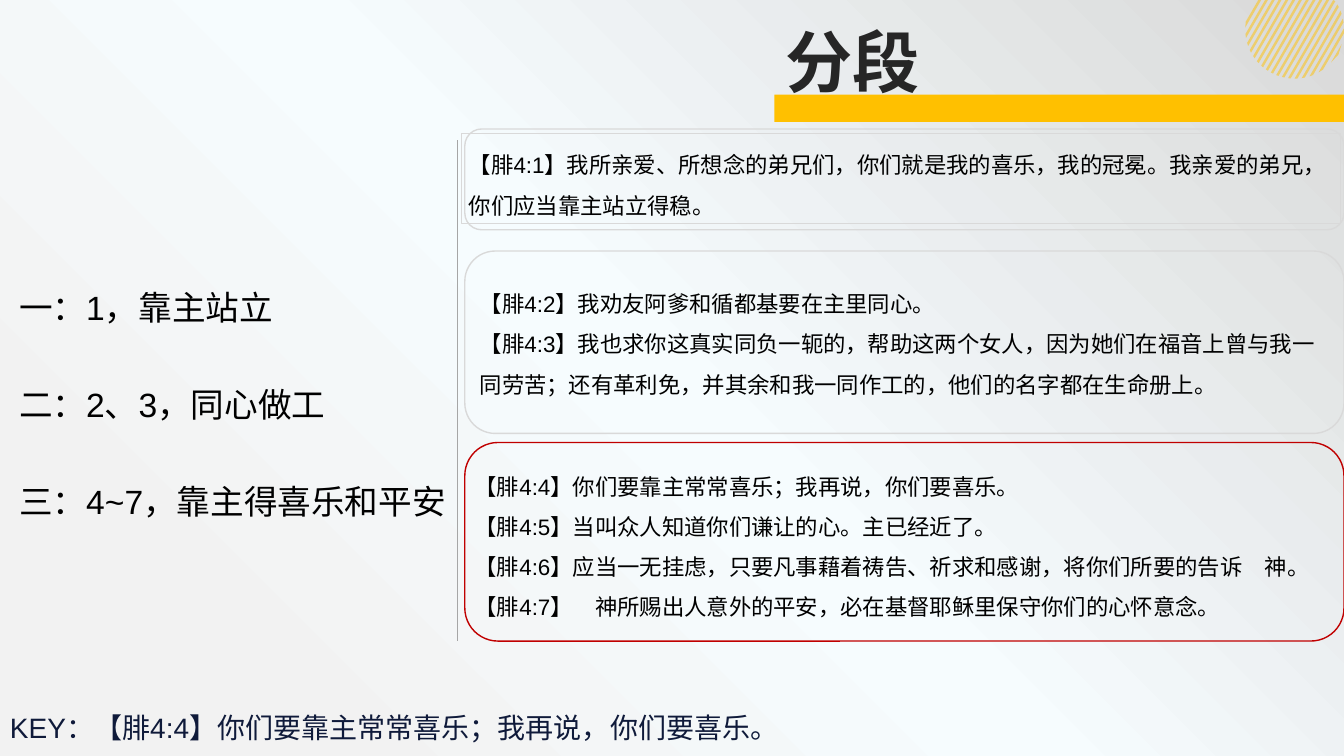
from math import sqrt

from lxml import etree
from pptx import Presentation
from pptx.dml.color import RGBColor
from pptx.enum.shapes import MSO_CONNECTOR, MSO_SHAPE
from pptx.enum.text import MSO_ANCHOR, MSO_AUTO_SIZE, PP_ALIGN
from pptx.oxml import parse_xml
from pptx.oxml.ns import nsdecls, qn
from pptx.util import Inches, Pt

W, H = 13.33, 7.5
FONT = "Arial"
BLACK = RGBColor(0x00, 0x00, 0x00)
CHARCOAL = RGBColor(0x26, 0x26, 0x26)
NAVY = RGBColor(0x0F, 0x1A, 0x3A)
AMBER = RGBColor(0xFF, 0xC0, 0x00)
PALE = RGBColor(0xD9, 0xD9, 0xD9)
GREY = RGBColor(0xA6, 0xA6, 0xA6)
RED = RGBColor(0xC0, 0x00, 0x00)

# Verse column: frames run from its left edge to the slide's right edge
COL_X = 4.61
COL_W = W - COL_X
COL_BOTTOM = 6.36

SECTIONS = ["一：1，靠主站立", "二：2、3，同心做工", "三：4~7，靠主得喜乐和平安"]
VERSE_1 = ["【腓4:1】我所亲爱、所想念的弟兄们，你们就是我的喜乐，我的冠冕。我亲爱的弟兄，你们应当靠主站立得稳。"]
VERSES_2_3 = [
    "【腓4:2】我劝友阿爹和循都基要在主里同心。",
    "【腓4:3】我也求你这真实同负一轭的，帮助这两个女人，因为她们在福音上曾与我一同劳苦；"
    "还有革利免，并其余和我一同作工的，他们的名字都在生命册上。",
]
VERSES_4_7 = [
    "【腓4:4】你们要靠主常常喜乐；我再说，你们要喜乐。",
    "【腓4:5】当叫众人知道你们谦让的心。主已经近了。",
    "【腓4:6】应当一无挂虑，只要凡事藉着祷告、祈求和感谢，将你们所要的告诉　神。",
    "【腓4:7】　神所赐出人意外的平安，必在基督耶稣里保守你们的心怀意念。",
]


def box(*lengths):
    return [Inches(v) for v in lengths]


def set_background(s):
    """Radial gradient spreading from the lower left corner."""
    s.background.fill.solid()
    bg_pr = s.background._cSld.find(qn("p:bg")).find(qn("p:bgPr"))
    solid = bg_pr.find(qn("a:solidFill"))
    bg_pr.replace(solid, parse_xml(
        f'<a:gradFill {nsdecls("a")} rotWithShape="1"><a:gsLst>'
        '<a:gs pos="15000"><a:srgbClr val="F2F2F2"/></a:gs>'
        '<a:gs pos="50000"><a:srgbClr val="F6FCFE"><a:alpha val="27000"/></a:srgbClr></a:gs>'
        '<a:gs pos="100000"><a:srgbClr val="D9D9D9"/></a:gs></a:gsLst>'
        '<a:path path="circle"><a:fillToRect t="100000" r="100000"/></a:path>'
        '</a:gradFill>'))


def write(tf, lines, size, color, spacing=None, gap=0, bold=False):
    tf.word_wrap = True
    for i, line in enumerate(lines):
        p = tf.add_paragraph() if i else tf.paragraphs[0]
        p.alignment = PP_ALIGN.LEFT
        if spacing:
            p.line_spacing = spacing
        if i and gap:
            p.space_before = Pt(gap)
        r = p.add_run()
        r.text = line
        r.font.name, r.font.size, r.font.bold = FONT, Pt(size), bold
        r.font.color.rgb = color


def set_insets(tf, inset):
    tf.margin_left = tf.margin_right = tf.margin_top = tf.margin_bottom = Inches(inset)
    tf.vertical_anchor = MSO_ANCHOR.MIDDLE


def add_text(s, at, lines, size, color, **style):
    tf = s.shapes.add_textbox(*box(*at)).text_frame
    write(tf, lines, size, color, **style)
    return tf


def add_frame(s, kind, at, color, width):
    sp = s.shapes.add_shape(kind, *box(*at))
    sp.shadow.inherit = False
    sp.fill.background()
    sp.line.color.rgb, sp.line.width = color, Pt(width)
    return sp


def add_verses(s, at, lines):
    tf = add_text(s, at, lines, 16, BLACK, spacing=1.5)
    set_insets(tf, 0.1)


def fill_amber(sp):
    sp.shadow.inherit = False
    sp.fill.solid()
    sp.fill.fore_color.rgb = AMBER
    sp.line.fill.background()


def add_striped_disc(s, cx=12.84, cy=0.29, radius=0.49, count=17):
    """Slanted stripes clipped to a disc and to the top of the slide."""
    first, pitch, width = 12.48, 0.0675, 0.028

    def chord(x0):
        """Ends of the 60 degree line through (x0, 0) inside the disc."""
        d = sqrt(3) / 2 * (x0 - cx) - cy / 2
        reach = sqrt(3) / 2 * sqrt(max(0, radius ** 2 - d ** 2))
        ys = max(0, cy + d / 2 - reach), cy + d / 2 + reach
        return [(Inches(x0 - y / sqrt(3)), Inches(y)) for y in ys]

    disc = s.shapes.add_group_shape()
    for i in range(count):
        x0 = first + i * pitch
        start, *rest = chord(x0) + chord(x0 + width)[::-1]
        builder = disc.shapes.build_freeform(*start)
        builder.add_line_segments(rest)
        stripe = builder.convert_to_shape()
        fill_amber(stripe)
        clr = stripe.fill._xPr.find(qn("a:solidFill"))[0]
        etree.SubElement(clr, qn("a:alpha")).set("val", "50000")


def add_title(s, text):
    title = s.shapes.title
    title.left, title.top, title.width, title.height = box(7.69, 0.15, 4.6, 0.91)
    tf = title.text_frame
    tf.vertical_anchor = MSO_ANCHOR.TOP
    tf.auto_size = MSO_AUTO_SIZE.NONE
    write(tf, [text], 48, CHARCOAL, bold=True)


def add_divider(s, x, top, bottom):
    line = s.shapes.add_connector(MSO_CONNECTOR.STRAIGHT, *box(x, top, x, bottom))
    line.line.color.rgb, line.line.width = GREY, Pt(0.5)
    etree.SubElement(line._element.spPr, qn("a:effectLst"))


def main():
    prs = Presentation()
    prs.slide_width, prs.slide_height = box(W, H)
    s = prs.slides.add_slide(prs.slide_layouts[5])
    set_background(s)

    add_striped_disc(s)
    fill_amber(s.shapes.add_shape(MSO_SHAPE.RECTANGLE, *box(7.68, 0.94, W - 7.68, 0.27)))
    add_title(s, "分段")

    add_text(s, (0.09, 2.72, 4.45, 2.5), SECTIONS, 24, BLACK, spacing=1.2, gap=34.5)
    add_divider(s, 4.54, 1.39, COL_BOTTOM)

    for top, bottom, color in ((1.28, 2.28, PALE), (2.49, 4.3, PALE), (4.39, COL_BOTTOM, RED)):
        add_frame(s, MSO_SHAPE.ROUNDED_RECTANGLE, (COL_X, top, COL_W, bottom - top), color, 1)
    verse = add_frame(s, MSO_SHAPE.RECTANGLE, (4.58, 1.32, COL_W, 0.9), PALE, 0.75)
    set_insets(verse.text_frame, 0.07)
    write(verse.text_frame, VERSE_1, 16, BLACK, spacing=1.5)
    add_verses(s, (4.66, 2.72, 8.63, 1.25), VERSES_2_3)
    add_verses(s, (COL_X, 4.61, 8.67, 1.49), VERSES_4_7)

    add_text(s, (0, 7, 13.24, 0.44), ["KEY：" + VERSES_4_7[0]], 20, NAVY)
    prs.save("out.pptx")


if __name__ == "__main__":
    main()
